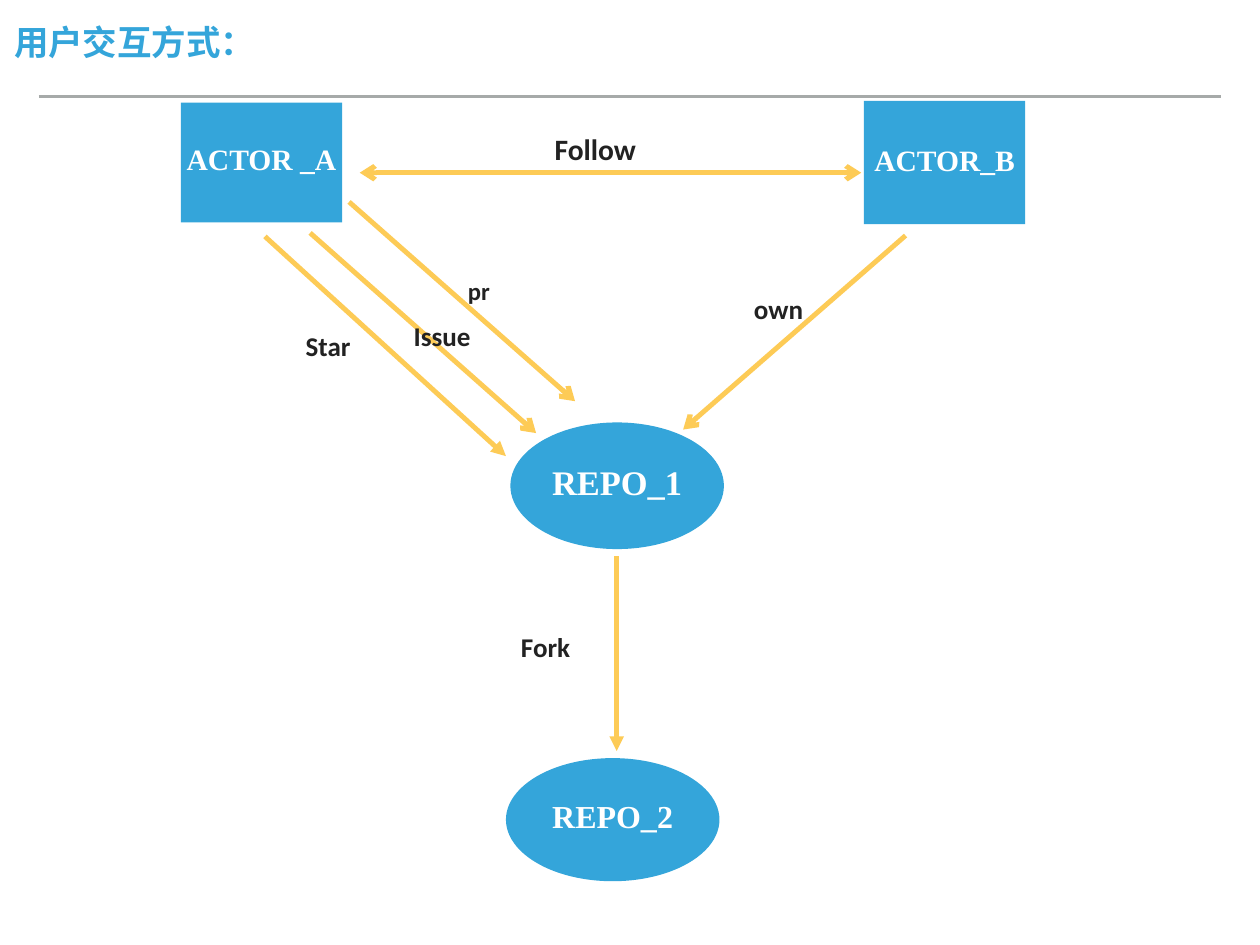
from pptx import Presentation
from pptx.dml.color import RGBColor
from pptx.enum.shapes import MSO_CONNECTOR as CONN, MSO_SHAPE as SHAPE
from pptx.enum.text import MSO_ANCHOR as ANCHOR, MSO_AUTO_SIZE as AUTO, PP_ALIGN as ALIGN
from pptx.oxml.ns import qn
from pptx.util import Inches, Pt
from lxml.etree import SubElement

BLUE, YELLOW, GREY, DARK, WHITE = "34A5DA", "FDCB56", "A6AAA9", "222222", "FFFFFF"


def rgb(color):
    return RGBColor.from_string(color)


def write(s, text, size, font, color, align):
    tf = s.text_frame
    tf.text = text
    tf.vertical_anchor = ANCHOR.MIDDLE
    tf.margin_left = tf.margin_right = tf.margin_top = tf.margin_bottom = Inches(0.06)
    p = tf.paragraphs[0]
    p.alignment = align
    p.font.size = Pt(size)
    p.font.name = font
    p.font.bold = True
    p.font.color.rgb = rgb(color)
    return tf


prs = Presentation()
prs.slide_width, prs.slide_height = Inches(14.22), Inches(10.67)
slide = prs.slides.add_slide(prs.slide_layouts[5])

title = slide.shapes.title
title.left, title.top, title.width, title.height = map(Inches, (0.1, 0.14, 2.85, 0.67))
tf = write(title, "用户交互方式：", 28, "Calibri", BLUE, ALIGN.LEFT)
tf.word_wrap = False
tf.auto_size = AUTO.NONE

nodes = [
    ("ACTOR _A", SHAPE.RECTANGLE, 24, 2.04, 1.16, 1.82, 1.35),
    ("ACTOR_B", SHAPE.RECTANGLE, 24, 9.75, 1.14, 1.82, 1.39),
    ("REPO_1", SHAPE.OVAL, 28, 5.76, 4.77, 2.41, 1.43),
    ("REPO_2", SHAPE.OVAL, 26, 5.71, 8.56, 2.41, 1.39),
]
for name, kind, size, *box in nodes:
    s = slide.shapes.add_shape(kind, *map(Inches, box))
    s.shadow.inherit = False
    s.fill.solid()
    s.fill.fore_color.rgb = rgb(BLUE)
    s.line.fill.background()
    tf = write(s, name, size, "Times New Roman", WHITE, ALIGN.CENTER)
    tf.paragraphs[0].line_spacing = 0.8

lines = [
    (0.44, 1.09, 13.78, 1.09, GREY, 2, None, None),
    (6.96, 6.28, 6.96, 8.48, YELLOW, 4, None, "triangle"),
    (10.22, 2.66, 7.71, 4.85, YELLOW, 4, None, "arrow"),
    (3.5, 2.63, 6.05, 4.89, YELLOW, 4, None, "arrow"),
    (2.99, 2.67, 5.71, 5.15, YELLOW, 4, None, "triangle"),
    (4.06, 1.95, 9.72, 1.95, YELLOW, 4, "arrow", "arrow"),
    (3.94, 2.28, 6.49, 4.53, YELLOW, 4, None, "arrow"),
]
for x1, y1, x2, y2, color, width, head, tail in lines:
    s = slide.shapes.add_connector(CONN.STRAIGHT, *map(Inches, (x1, y1, x2, y2)))
    s.line.color.rgb = rgb(color)
    s.line.width = Pt(width)
    ln = s.line._get_or_add_ln()
    for tag, end in (("a:headEnd", head), ("a:tailEnd", tail)):
        if end:
            SubElement(ln, qn(tag), type=end)
    SubElement(s._element.spPr, qn("a:effectLst"))

labels = [
    ("Follow", 24, 6.2, 1.42, 1.2, 0.52),
    ("Fork", 22, 5.82, 7.06, 0.9, 0.48),
    ("own", 22, 8.45, 3.25, 0.9, 0.48),
    ("Issue", 22, 4.61, 3.55, 0.9, 0.48),
    ("Star", 22, 3.39, 3.66, 0.9, 0.48),
    ("pr", 20, 5.22, 3.06, 0.6, 0.45),
]
for text, size, *box in labels:
    s = slide.shapes.add_textbox(*map(Inches, box))
    tf = write(s, text, size, "Calibri", DARK, ALIGN.LEFT)
    tf.word_wrap = True
    tf.auto_size = AUTO.NONE

prs.save("out.pptx")
